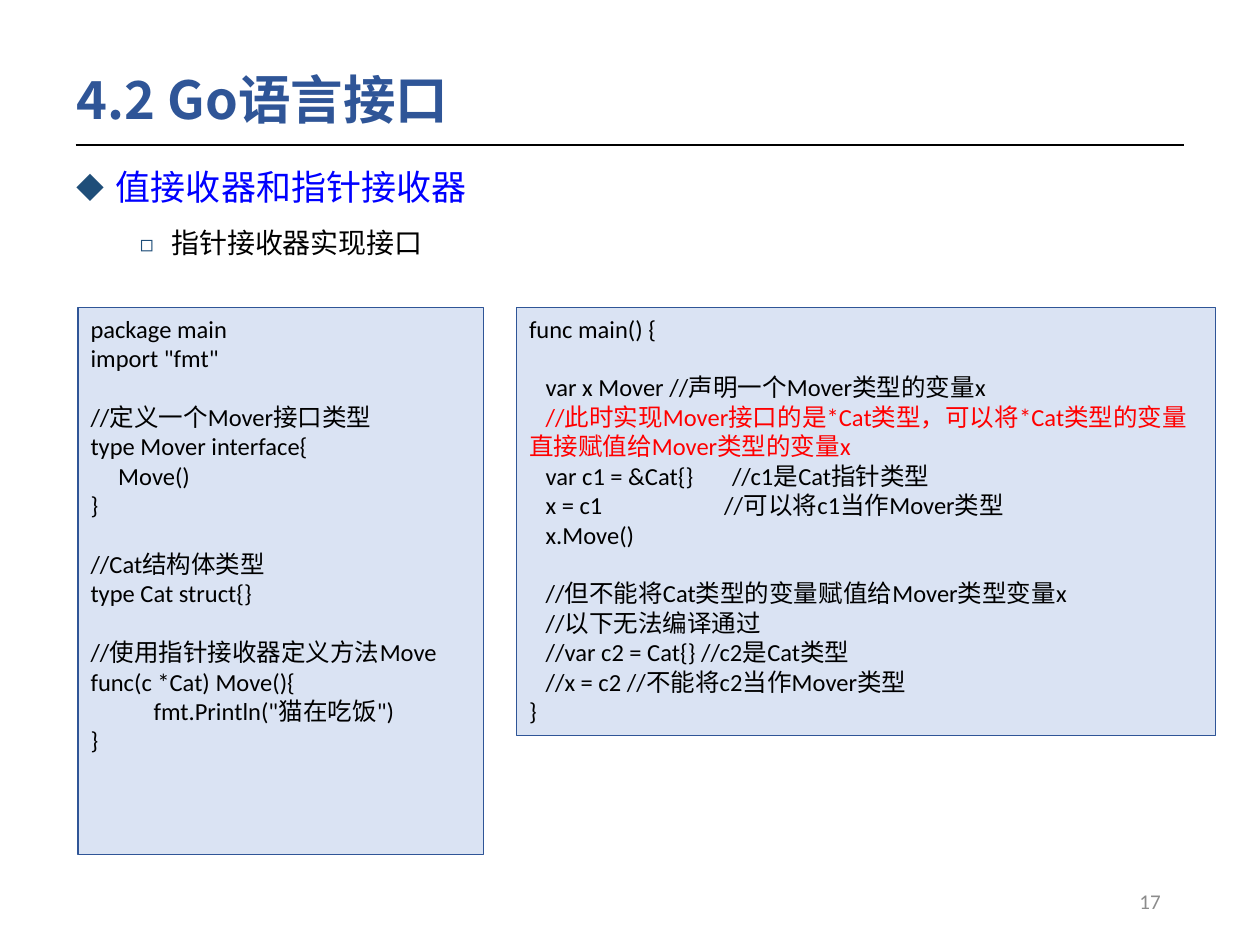
from dataclasses import dataclass

from lxml.etree import SubElement
from pptx import Presentation
from pptx.dml.color import RGBColor as RGB
from pptx.enum.shapes import MSO_CONNECTOR as CONN, MSO_SHAPE as SHAPE
from pptx.enum.text import MSO_ANCHOR as ANCHOR, MSO_AUTO_SIZE as AUTO, PP_ALIGN as ALIGN
from pptx.oxml.ns import qn
from pptx.util import Inches, Pt


@dataclass(frozen=True)
class Theme:
    latin: str = "Calibri"
    cjk: str = "Noto Sans CJK SC"
    accent: RGB = RGB(0x2F, 0x55, 0x97)
    bullet: str = "1F4E79"
    panel: RGB = RGB(0xDA, 0xE3, 0xF3)
    topic: RGB = RGB(0x00, 0x00, 0xFF)
    ink: RGB = RGB(0x00, 0x00, 0x00)
    alert: RGB = RGB(0xFF, 0x00, 0x00)
    muted: RGB = RGB(0x8C, 0x8C, 0x8C)
    title_size: int = 30
    topic_size: int = 20
    detail_size: int = 16
    code_size: int = 14
    number_size: int = 12


@dataclass(frozen=True)
class Box:
    left: float
    top: float
    width: float
    height: float

    def lengths(self) -> tuple:
        return tuple(Inches(v) for v in (self.left, self.top, self.width, self.height))


@dataclass(frozen=True)
class Bullet:
    text: str
    level: int
    mark: str
    margin: float
    hanging: float
    before: int
    size: int
    color: RGB


@dataclass(frozen=True)
class CodePanel:
    box: Box
    code: str
    alert_prefix: str = ""


THEME = Theme()

BULLETS = [
    Bullet("值接收器和指针接收器", 0, "◆", 0.31, 0.31, 0, THEME.topic_size, THEME.topic),
    Bullet("指针接收器实现接口", 1, "◻", 0.75, 0.25, 5, THEME.detail_size, THEME.ink),
]

PANELS = [
    CodePanel(Box(0.62, 2.44, 3.22, 4.34), """package main
import "fmt"

//定义一个Mover接口类型
type Mover interface{
     Move()
}

//Cat结构体类型
type Cat struct{}

//使用指针接收器定义方法Move
func(c *Cat) Move(){
\tfmt.Println("猫在吃饭")
}"""),
    CodePanel(Box(4.1, 2.44, 5.55, 3.4), """func main() {

   var x Mover //声明一个Mover类型的变量x
   //此时实现Mover接口的是*Cat类型，可以将*Cat类型的变量直接赋值给Mover类型的变量x
   var c1 = &Cat{}       //c1是Cat指针类型
   x = c1                      //可以将c1当作Mover类型
   x.Move()

   //但不能将Cat类型的变量赋值给Mover类型变量x
   //以下无法编译通过
   //var c2 = Cat{} //c2是Cat类型
   //x = c2 //不能将c2当作Mover类型
}""", "//此时"),
]


def style(p, size: int, color: RGB, font: str, bold: bool = False) -> None:
    for r in p.runs:
        r.font.size = Pt(size)
        r.font.color.rgb = color
        r.font.bold = bold
        r.font.name = font
        SubElement(r.font._element, qn("a:ea"), typeface=THEME.cjk)
    if not p.runs:
        SubElement(p._p, qn("a:endParaRPr"), sz=str(size * 100))


def place(s, box: Box) -> None:
    s.left, s.top, s.width, s.height = box.lengths()


def add_title(slide, text: str, box: Box) -> None:
    s = slide.shapes.title
    place(s, box)
    tf = s.text_frame
    tf.text = text
    tf.auto_size = AUTO.NONE
    tf.vertical_anchor = ANCHOR.MIDDLE
    p = tf.paragraphs[0]
    p.alignment = ALIGN.LEFT
    p.line_spacing = 0.9
    style(p, THEME.title_size, THEME.accent, THEME.cjk, bold=True)


def add_bullets(slide, bullets: list[Bullet], box: Box) -> None:
    s = slide.placeholders[1]
    place(s, box)
    tf = s.text_frame
    tf.text = "\n".join(b.text for b in bullets)
    tf.auto_size = AUTO.NONE
    for p, b in zip(tf.paragraphs, bullets):
        p.level = b.level
        p.line_spacing = 1.3
        p.space_before = Pt(b.before)
        pPr = p._p.get_or_add_pPr()
        pPr.set("marL", str(Inches(b.margin)))
        pPr.set("indent", str(-Inches(b.hanging)))
        clr = SubElement(pPr, qn("a:buClr"))
        SubElement(clr, qn("a:srgbClr"), val=THEME.bullet)
        SubElement(pPr, qn("a:buSzPct"), val="80000")
        SubElement(pPr, qn("a:buFont"), typeface=THEME.cjk)
        SubElement(pPr, qn("a:buChar"), char=b.mark)
        style(p, b.size, b.color, THEME.cjk)


def add_rule(slide, left: float, right: float, y: float) -> None:
    s = slide.shapes.add_connector(
        CONN.STRAIGHT, Inches(left), Inches(y), Inches(right), Inches(y))
    s.line.color.rgb = THEME.ink
    s.line.width = Pt(1.5)
    SubElement(s._element.spPr, qn("a:effectLst"))


def add_code(slide, panel: CodePanel) -> None:
    s = slide.shapes.add_shape(SHAPE.RECTANGLE, *panel.box.lengths())
    s.shadow.inherit = False
    s.fill.solid()
    s.fill.fore_color.rgb = THEME.panel
    s.line.color.rgb = THEME.accent
    s.line.width = Pt(0.75)
    tf = s.text_frame
    tf.word_wrap = True
    tf.vertical_anchor = ANCHOR.TOP
    tf.text = panel.code
    for p in tf.paragraphs:
        p.alignment = ALIGN.LEFT
        alert = panel.alert_prefix and p.text.strip().startswith(panel.alert_prefix)
        style(p, THEME.code_size, THEME.alert if alert else THEME.ink, THEME.latin)


def add_number(slide, text: str, box: Box) -> None:
    tf = slide.shapes.add_textbox(*box.lengths()).text_frame
    tf.word_wrap = True
    tf.vertical_anchor = ANCHOR.MIDDLE
    tf.text = text
    p = tf.paragraphs[0]
    p.alignment = ALIGN.RIGHT
    style(p, THEME.number_size, THEME.muted, THEME.latin)


def main() -> None:
    prs = Presentation()
    prs.slide_width, prs.slide_height = Inches(10), Inches(7.5)
    slide = prs.slides.add_slide(prs.slide_layouts[1])
    add_title(slide, "4.2 Go语言接口", Box(0.51, 0.48, 8.62, 0.67))
    add_number(slide, "17", Box(7.06, 6.95, 2.25, 0.4))
    add_rule(slide, 0.6, 9.4, 1.15)
    add_bullets(slide, BULLETS, Box(0.51, 1.16, 8.89, 5.74))
    for panel in PANELS:
        add_code(slide, panel)
    prs.save("out.pptx")


if __name__ == "__main__":
    main()
